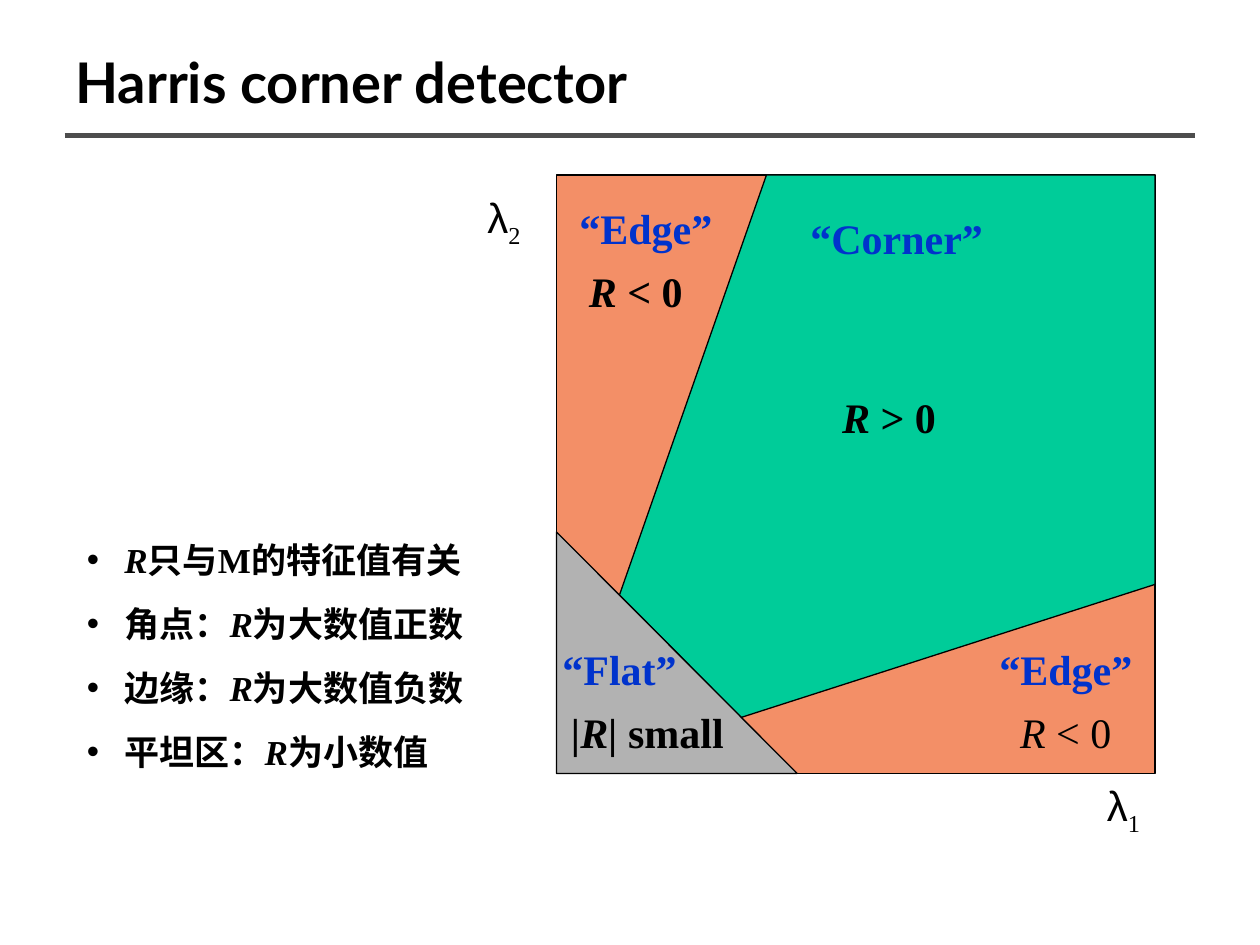
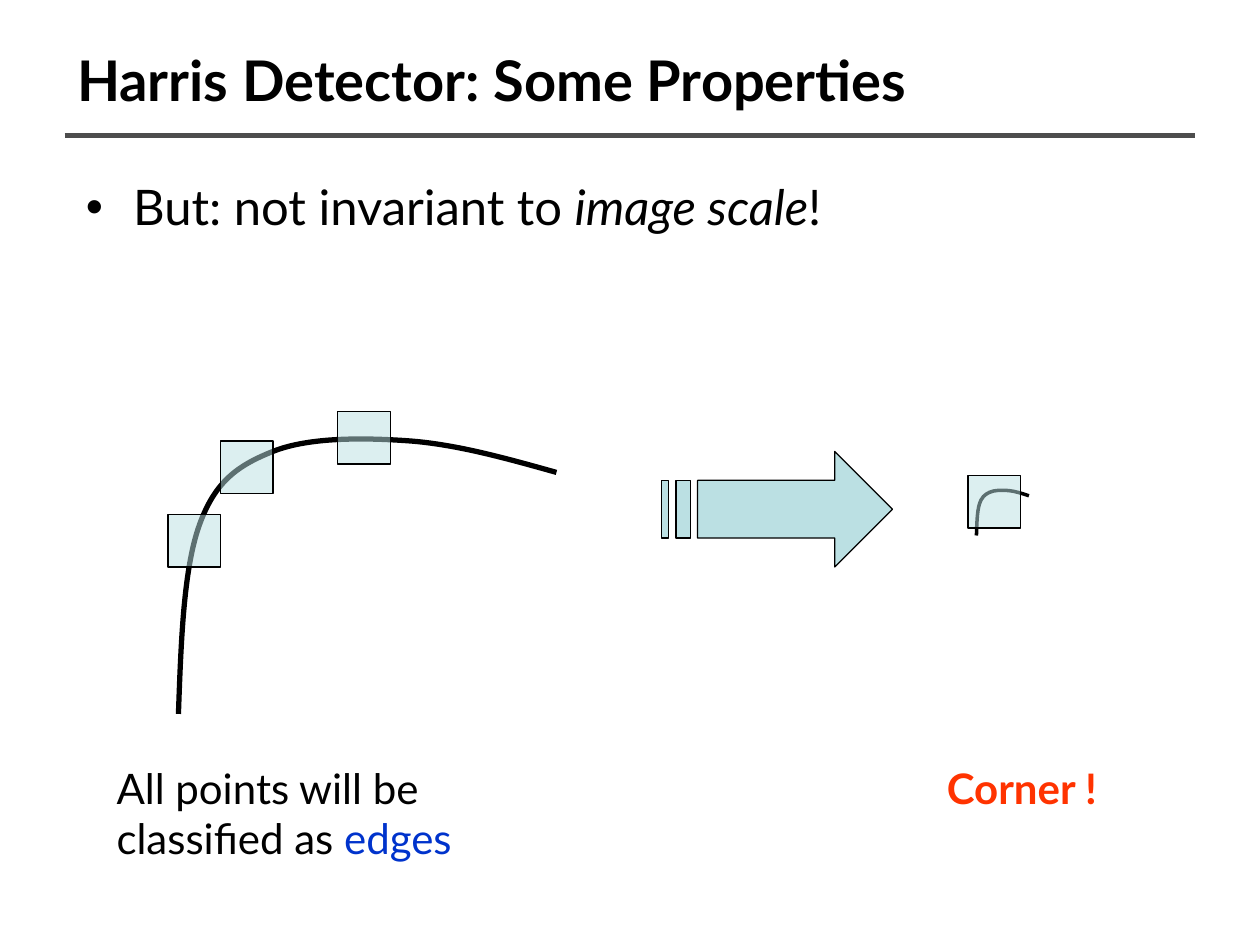
from pptx import Presentation
from pptx.dml.color import RGBColor
from pptx.enum.shapes import MSO_CONNECTOR, MSO_SHAPE
from pptx.enum.text import MSO_ANCHOR, PP_ALIGN
from pptx.oxml.ns import qn
from pptx.util import Pt
from lxml.etree import SubElement

BLACK = RGBColor(0x00, 0x00, 0x00)
WHITE = RGBColor(0xFF, 0xFF, 0xFF)
RULE_GRAY = RGBColor(0x4D, 0x4D, 0x4D)
EDGE_ORANGE = RGBColor(0xF3, 0x8F, 0x67)
CORNER_GREEN = RGBColor(0x00, 0xCC, 0x99)
FLAT_GRAY = RGBColor(0xB2, 0xB2, 0xB2)
PALE_TEAL = RGBColor(0xBB, 0xE0, 0xE3)
BLUE = RGBColor(0x00, 0x33, 0xCC)
RED = RGBColor(0xFF, 0x33, 0x00)

SANS, SERIF, GREEK, CHINESE = "Lato", "Times New Roman", "Arial", "Noto Sans CJK SC"
LEFT, CENTER = PP_ALIGN.LEFT, PP_ALIGN.CENTER
ITALIC = {"italic": True}

# Slide 1: eigenvalue plane, all lengths in points
PLANE = (318, 100, 342, 342)
CORNER_REGION = [(354, 340), (438, 100), (660, 100), (660, 334), (423.5, 410)]
FLAT_REGION = (318, 304, 137.5, 138)
AXIS_LABELS = [("1", (612, 442, 60, 40)), ("2", (246, 106, 84, 40))]
REGION_NAMES = [
    ("“Corner”", (456, 118, 210, 36), LEFT),
    ("“Edge”", (564, 364, 102, 36), LEFT),
    ("“Edge”", (324, 112, 102, 36), LEFT),
    ("“Flat”", (306, 364, 96, 36), CENTER),
]
RESPONSES = [
    ("R", " > 0", (474, 220, 68, 36), True),
    ("R", " < 0", (329.3, 148, 68, 36), True),
    ("R", " < 0", (575.5, 400, 67, 36), False),
    ("|R|", " small", (319, 400, 102, 36), True),
]
RESPONSE_NOTES = [
    ("", "只与M的特征值有关"),
    ("角点：", "为大数值正数"),
    ("边缘：", "为大数值负数"),
    ("平坦区：", "为小数值"),
]

# Slide 2: curve relative to its top left corner, as cubic Bézier control points
CURVE_SIZE = (216, 158)
CURVE = [
    (0, 158), (1.5, 116), (3, 75), (12, 50), (21, 25), (34, 16), (54, 8),
    (74, 0), (104.5, 0), (132, 2), (159, 4), (187.5, 12), (216, 20),
]
BIG_CURVE = (102, 250, 216, 158)
SMALL_CURVE = (558, 280, 30, 26)
WINDOW_SIZE = 30
BIG_WINDOWS = [(96, 294), (126, 252), (193, 235.2)]
SMALL_WINDOW = (553.2, 271.7)
ARROW_ORIGIN, ARROW_UNIT = (378, 258), 4.125
ARROW_PARTS = [
    [(24, 0), (24, 4), (5, 4), (5, 12), (24, 12), (24, 16), (32, 8)],
    [(2, 4), (2, 12), (4, 12), (4, 4)],
    [(0, 4), (0, 12), (1, 12), (1, 4)],
]


def in_points(lengths):
    return [Pt(length) for length in lengths]


def add_bullet(paragraph, indent):
    properties = paragraph._p.get_or_add_pPr()
    properties.set("marL", str(Pt(indent)))
    properties.set("indent", str(-Pt(indent)))
    SubElement(properties, qn("a:buFont")).set("typeface", "Arial")
    SubElement(properties, qn("a:buChar")).set("char", "•")


def add_run(paragraph, text, italic=None, color=None, font=None, subscript=False):
    run = paragraph.add_run()
    run.text = text
    if italic:
        run.font.italic = True
    if color is not None:
        run.font.color.rgb = color
    if font:
        run.font.name = font
    properties = run._r.get_or_add_rPr()
    if subscript:
        properties.set("baseline", "-25000")
    if not text.isascii() and not font:
        SubElement(properties, qn("a:ea")).set("typeface", CHINESE)


def add_text(slide, box, paragraphs, size=24, font=SANS, color=BLACK, bold=False,
             align=LEFT, anchor=MSO_ANCHOR.TOP, indent=0, line=None, gap=0, wrap=True):
    """Each paragraph is a list of (text, run options)."""
    frame = slide.shapes.add_textbox(*in_points(box)).text_frame
    frame.word_wrap = wrap
    frame.vertical_anchor = anchor
    for index, runs in enumerate(paragraphs):
        paragraph = frame.add_paragraph() if index else frame.paragraphs[0]
        paragraph.alignment = align
        if line:
            paragraph.line_spacing = Pt(line)
        if index:
            paragraph.space_before = Pt(gap)
        if indent:
            add_bullet(paragraph, indent)
        paragraph.font.size = Pt(size)
        paragraph.font.name = font
        paragraph.font.bold = bold
        paragraph.font.color.rgb = color
        for text, options in runs:
            add_run(paragraph, text, **options)


def style(shape, fill=None, width=0.75, alpha=None):
    shape.shadow.inherit = False
    shape.line.color.rgb = BLACK
    shape.line.width = Pt(width)
    if fill is None:
        shape.fill.background()
        return
    shape.fill.solid()
    shape.fill.fore_color.rgb = fill
    if alpha:
        color = shape._element.spPr.find(".//" + qn("a:srgbClr"))
        SubElement(color, qn("a:alpha")).set("val", str(alpha * 1000))


def add_preset(slide, kind, box, fill, alpha=None):
    style(slide.shapes.add_shape(kind, *in_points(box)), fill, alpha=alpha)


def add_outline(slide, parts, fill=None, width=0.75, close=True):
    parts = [[in_points(point) for point in part] for part in parts]
    builder = slide.shapes.build_freeform(*parts[0][0], scale=1)
    for index, part in enumerate(parts):
        if index:
            builder.move_to(*part[0])
        builder.add_line_segments(part[1:], close=close)
    shape = builder.convert_to_shape()
    style(shape, fill, width)
    return shape


def bend(shape):
    """Turn each three line segments of an outline into one cubic Bézier segment."""
    outline = shape._element.spPr.find(".//" + qn("a:path"))
    segments = outline.findall(qn("a:lnTo"))
    for first in range(0, len(segments), 3):
        cubic = SubElement(outline, qn("a:cubicBezTo"))
        for segment in segments[first:first + 3]:
            cubic.append(segment[0])
            outline.remove(segment)


def add_curve(slide, box, width):
    left, top, box_width, box_height = box
    points = [(left + x * box_width / CURVE_SIZE[0], top + y * box_height / CURVE_SIZE[1])
              for x, y in CURVE]
    bend(add_outline(slide, [points], width=width, close=False))


def add_window(slide, corner):
    add_preset(slide, MSO_SHAPE.RECTANGLE, (*corner, WINDOW_SIZE, WINDOW_SIZE), PALE_TEAL, 50)


def add_titled_slide(presentation, title, left, top):
    slide = presentation.slides.add_slide(presentation.slide_layouts[6])
    slide.background.fill.solid()
    slide.background.fill.fore_color.rgb = WHITE
    rule = slide.shapes.add_connector(MSO_CONNECTOR.STRAIGHT,
                                      *in_points((36.9, 77.3, 683.1, 77.3)))
    rule.line.color.rgb = RULE_GRAY
    rule.line.width = Pt(3)
    SubElement(rule._element.spPr, qn("a:effectLst"))
    add_text(slide, (left, top, 648, 50), [[(title, {})]], size=32, bold=True,
             anchor=MSO_ANCHOR.MIDDLE)
    return slide


def build_regions(presentation):
    slide = add_titled_slide(presentation, "Harris corner detector", 36, 21.5)
    add_preset(slide, MSO_SHAPE.RECTANGLE, PLANE, EDGE_ORANGE)
    for number, box in AXIS_LABELS:
        add_text(slide, box, [[("λ", {"font": GREEK}), (number, {"subscript": True})]],
                 font=SERIF, align=CENTER)
    add_outline(slide, [CORNER_REGION], CORNER_GREEN)
    add_preset(slide, MSO_SHAPE.RIGHT_TRIANGLE, FLAT_REGION, FLAT_GRAY)
    for name, box, align in REGION_NAMES:
        add_text(slide, box, [[(name, {"font": SERIF})]], font=SERIF, color=BLUE,
                 bold=True, align=align)
    notes = [[(before, {})] * bool(before) + [("R", ITALIC), (after, {})]
             for before, after in RESPONSE_NOTES]
    add_text(slide, (42.5, 304.4, 250, 141), notes, size=20, font=SERIF, bold=True,
             indent=21.5, line=24, gap=12.5)
    for symbol, value, box, bold in RESPONSES:
        add_text(slide, box, [[(symbol, ITALIC), (value, {})]], font=SERIF, bold=bold,
                 align=CENTER, wrap=False)


def build_scale(presentation):
    slide = add_titled_slide(presentation, "Harris Detector: Some Properties", 37, 20)
    statement = [("But: not invariant to ", {}), ("image scale", ITALIC), ("!", {})]
    add_text(slide, (42, 97.5, 612, 392), [statement], size=28, indent=27)
    add_curve(slide, SMALL_CURVE, 2)
    add_window(slide, SMALL_WINDOW)
    add_curve(slide, BIG_CURVE, 3)
    for corner in BIG_WINDOWS:
        add_window(slide, corner)
    left, top = ARROW_ORIGIN
    arrow = [[(left + x * ARROW_UNIT, top + y * ARROW_UNIT) for x, y in part]
             for part in ARROW_PARTS]
    add_outline(slide, arrow, PALE_TEAL)
    caption = [("All points will be classified as ", {}), ("edges", {"color": BLUE})]
    add_text(slide, (59.5, 432, 253, 65), [caption])
    add_text(slide, (534, 432, 108, 65), [[("Corner !", {})]], color=RED, bold=True)


def main():
    presentation = Presentation()
    presentation.slide_width, presentation.slide_height = Pt(720), Pt(540)
    build_regions(presentation)
    build_scale(presentation)
    presentation.save("out.pptx")


if __name__ == "__main__":
    main()
